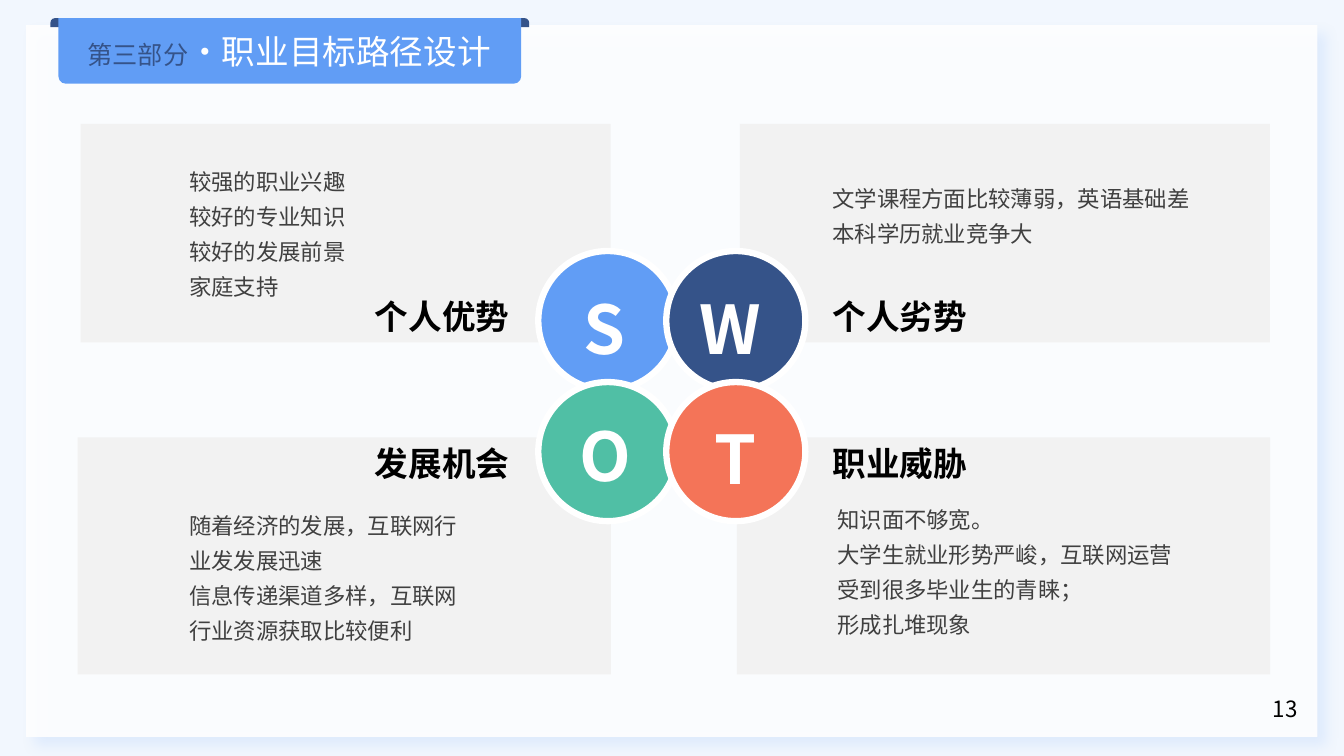
from dataclasses import dataclass

from lxml import etree
from pptx import Presentation, util as u
from pptx.dml.color import RGBColor
from pptx.enum import shapes, text
from pptx.oxml.ns import qn

FONT = "Noto Sans CJK SC"
BLUE, NAVY, GREEN, CORAL = "619DF5", "355389", "50BFA5", "F47458"
WHITE, BLACK, GRAY, PANEL = "FFFFFF", "000000", "404040", "F2F2F2"
CELL = u.Inches(1 / 12)  # the slide is a grid of 160 columns by 90 rows
CIRCLE_SIZE = 16.56
LETTER_HEIGHT = 10.92
PRESET = shapes.MSO_SHAPE


@dataclass
class Area:
    column: float
    row: float
    columns: float
    rows: float

    def lengths(self) -> list[int]:
        return [round(n * CELL) for n in (self.column, self.row, self.columns, self.rows)]


@dataclass
class Quadrant:
    letter: str
    color: str
    circle_column: float
    circle_row: float
    letter_columns: float
    letter_row: float
    panel: Area
    heading: str
    heading_column: float
    heading_row: float
    body: Area
    lines: list[str]


QUADRANTS = [
    Quadrant("S", BLUE, 64.08, 29.88, 7.8, 33.6, Area(9.6, 14.76, 63.1, 26),
             "个人优势", 43.44, 34.68, Area(21.36, 18.48, 30, 17.64),
             ["较强的职业兴趣", "较好的专业知识", "较好的发展前景", "家庭支持"]),
    Quadrant("W", NAVY, 79.32, 29.88, 10.8, 33.6, Area(88.08, 14.76, 63.1, 26),
             "个人劣势", 97.92, 34.68, Area(97.92, 20.52, 52.56, 9.36),
             ["文学课程方面比较薄弱，英语基础差", "本科学历就业竞争大"]),
    Quadrant("O", GREEN, 64.08, 45.48, 8.76, 48.72, Area(9.24, 52.08, 63.5, 28.2),
             "发展机会", 43.44, 52.08, Area(21.36, 59.4, 36.12, 17.64),
             ["随着经济的发展，互联网行业发发展迅速",
              "信息传递渠道多样，互联网行业资源获取比较便利"]),
    Quadrant("T", CORAL, 79.32, 45.48, 7.08, 49.08, Area(87.72, 52.08, 63.5, 28.2),
             "职业威胁", 97.92, 52.08, Area(98.52, 58.68, 42.72, 17.64),
             ["知识面不够宽。", "大学生就业形势严峻，互联网运营受到很多毕业生的青睐；",
              "形成扎堆现象"]),
]


def rgb(color: str) -> RGBColor:
    return RGBColor.from_string(color)


def style_font(font, size: float, color: str, bold: bool = False) -> None:
    font.name = FONT
    font.size = u.Pt(size)
    font.bold = bold
    font.color.rgb = rgb(color)
    etree.SubElement(font._rPr, qn("a:ea")).set("typeface", FONT)


def add_shape(slide, preset, area: Area, fill: str, outline: str | None = None,
              corners: tuple[float, ...] = ()):
    shape = slide.shapes.add_shape(preset, *area.lengths())
    shape.shadow.inherit = False
    shape.fill.solid()
    shape.fill.fore_color.rgb = rgb(fill)
    if outline:
        shape.line.color.rgb = rgb(outline)
        shape.line.width = u.Pt(4.5)
    else:
        shape.line.fill.background()
    for index, corner in enumerate(corners):
        shape.adjustments[index] = corner
    return shape


def add_text_frame(slide, area: Area, wrap: bool = False):
    frame = slide.shapes.add_textbox(*area.lengths()).text_frame
    frame.word_wrap = wrap
    frame.auto_size = text.MSO_AUTO_SIZE.SHAPE_TO_FIT_TEXT
    return frame


def add_text(slide, area: Area, lines: list[str], size: float, color: str,
             bold: bool = False, wrap: bool = False, spacing: float = 1.0):
    frame = add_text_frame(slide, area, wrap)
    for index, line in enumerate(lines):
        paragraph = frame.add_paragraph() if index else frame.paragraphs[0]
        paragraph.text = line
        paragraph.line_spacing = spacing
        style_font(paragraph.font, size, color, bold)
    return frame


def add_alpha(color_element, percent: int) -> None:
    etree.SubElement(color_element, qn("a:alpha")).set("val", str(percent * 1000))


def add_page(slide) -> None:
    page = add_shape(slide, PRESET.RECTANGLE, Area(3.12, 3, 153.72, 84.72), WHITE)
    properties = page._element.spPr
    add_alpha(properties.find(f"{qn('a:solidFill')}/{qn('a:srgbClr')}"), 88)
    shadow = etree.SubElement(properties.find(qn("a:effectLst")), qn("a:outerShdw"),
                              blurRad=str(u.Pt(9)), dist=str(u.Pt(9)),
                              dir=str(45 * 60000), algn="tl", rotWithShape="0")
    add_alpha(etree.SubElement(shadow, qn("a:srgbClr"), val=BLUE), 15)


def add_title(slide) -> None:
    rounded = PRESET.ROUND_2_SAME_RECTANGLE
    add_shape(slide, rounded, Area(6, 2.16, 57, 1.08), NAVY, corners=(0.5, 0))
    add_shape(slide, rounded, Area(6.96, 2.16, 55.08, 7.8), BLUE, corners=(0, 0.11))
    paragraph = add_text_frame(slide, Area(9.24, 3.12, 52.92, 6)).paragraphs[0]
    for words, size, color in (("第三部分", 18, NAVY), ("·职业目标路径设计", 24, WHITE)):
        run = paragraph.add_run()
        run.text = words
        style_font(run.font, size, color)


def add_swot(slide) -> None:
    # Headings
    for part in QUADRANTS:
        area = Area(part.heading_column, part.heading_row, 18.6, 6)
        add_text(slide, area, [part.heading], 24, BLACK, bold=True)
    # Overlapping circles
    for part in QUADRANTS:
        area = Area(part.circle_column, part.circle_row, CIRCLE_SIZE, CIRCLE_SIZE)
        add_shape(slide, PRESET.OVAL, area, part.color, outline=WHITE)
    # Letters, centred on their circles
    for part in QUADRANTS:
        column = part.circle_column + (CIRCLE_SIZE - part.letter_columns) / 2 - 0.15
        area = Area(column, part.letter_row, part.letter_columns, LETTER_HEIGHT)
        add_text(slide, area, [part.letter], 48, WHITE, bold=True)
    # Descriptions
    for part in QUADRANTS:
        add_text(slide, part.body, part.lines, 16, GRAY, wrap=True, spacing=1.3)


def main() -> None:
    presentation = Presentation()
    presentation.slide_width = 160 * CELL
    presentation.slide_height = 90 * CELL
    slide = presentation.slides.add_slide(presentation.slide_layouts[6])
    slide.background.fill.solid()
    slide.background.fill.fore_color.rgb = rgb("F2F7FE")

    # Page and panels
    add_page(slide)
    for part in QUADRANTS:
        add_shape(slide, PRESET.RECTANGLE, part.panel, PANEL)

    # Page number
    number = add_text(slide, Area(150, 82.2, 6, 4.8), ["13"], 16, BLACK, wrap=True)
    number.paragraphs[0].alignment = text.PP_ALIGN.CENTER

    add_title(slide)
    add_swot(slide)
    presentation.save("out.pptx")


if __name__ == "__main__":
    main()
